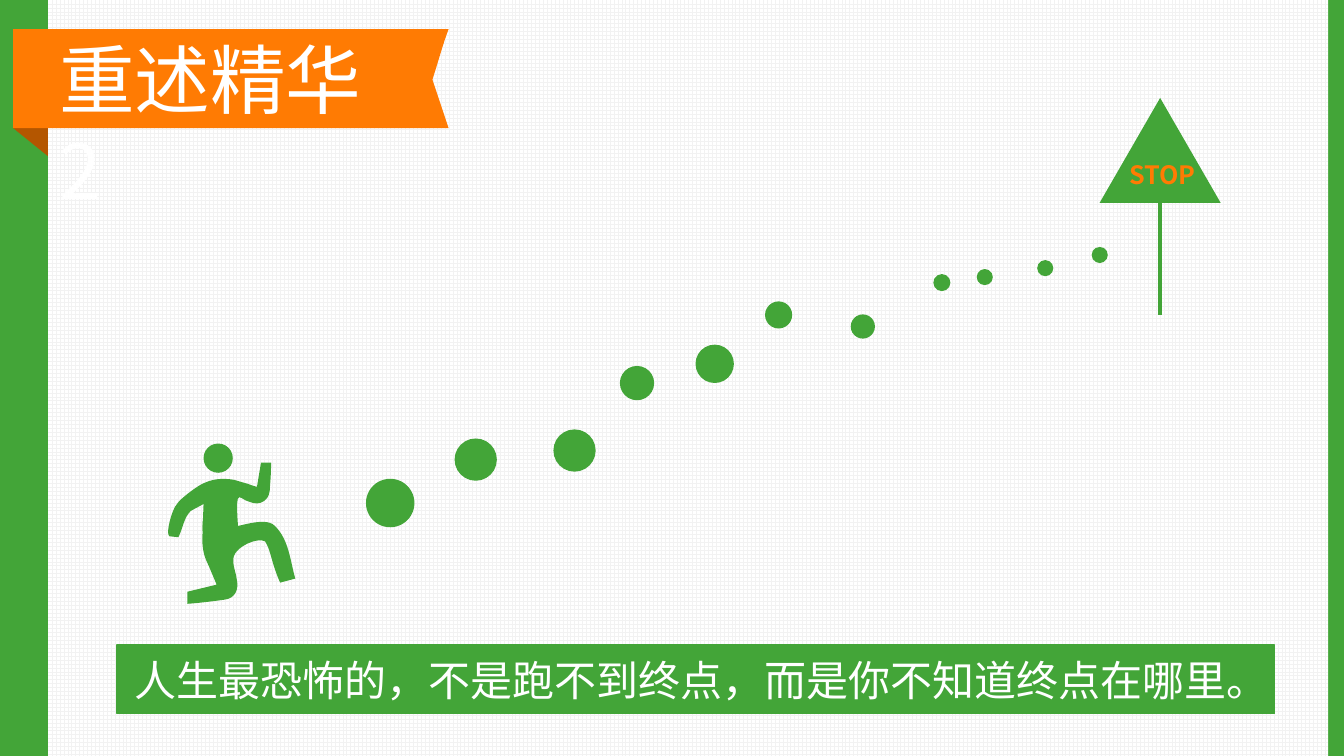
from lxml import etree
from pptx import Presentation
from pptx.dml.color import RGBColor
from pptx.enum.dml import MSO_PATTERN
from pptx.enum.shapes import MSO_CONNECTOR, MSO_SHAPE
from pptx.enum.text import MSO_ANCHOR, MSO_AUTO_SIZE, PP_ALIGN
from pptx.oxml.ns import qn
from pptx.util import Pt

OVAL, RECT, TRIANGLE = MSO_SHAPE.OVAL, MSO_SHAPE.RECTANGLE, MSO_SHAPE.ISOSCELES_TRIANGLE
STRAIGHT = MSO_CONNECTOR.STRAIGHT
GRID = MSO_PATTERN.LARGE_GRID
TOP, LEFT, NO_FIT = MSO_ANCHOR.TOP, PP_ALIGN.LEFT, MSO_AUTO_SIZE.NONE

FONT = "Noto Sans CJK SC"
COLORS = {"green": "43A538", "orange": "FF7B03", "fold": "B45600",
          "white": "FFFFFF", "grid": "F2F2F2"}
UNIT = Pt(0.72)  # one step of the outline coordinates

# Left, top, diameter in points
HEAD = (145.4, 316.8, 20.9)
DOTS = [(261.4, 342, 34.6), (324.7, 313.2, 30.2), (395.3, 306.7, 30.2),
        (442.8, 261.4, 24.5), (496.8, 246.2, 27.4), (546.5, 215.3, 19.4),
        (607.7, 224.6, 17.3), (666.7, 195.8, 12.2), (697.7, 192.2, 11.5),
        (740.9, 185.8, 11.5), (779.8, 176.4, 11.5)]

# Outlines: two numbers make a line, six a Bezier curve
FOLD = [(49, 127), (13, 127), (49, 156)]
RIBBON = [(13, 29), (445, 29), (439, 45, 437, 54, 429, 79), (445, 127), (13, 127)]
FOREARM = [(177, 533), (168, 532), (164, 529, 171, 505, 175, 501), (190, 506),
           (182, 514, 182, 523, 177, 533)]
LEGS = [(215, 580), (207, 561), (203, 553, 200, 545, 201, 529),
        (201, 527, 201, 519, 201, 517), (204, 520, 207, 523, 210, 526),
        (229, 527, 262, 510, 273, 522), (287, 536, 288, 557, 293, 574),
        (278, 578), (269, 558, 269, 546, 263, 537),
        (255, 533, 235, 542, 232, 552), (230, 559, 234, 567, 235, 575),
        (237, 584, 234, 594, 222, 595), (201, 598, 186, 599, 186, 599), (186, 587)]
TORSO = [(202, 500), (189, 507), (173, 505), (174, 502, 176, 499, 179, 496),
         (190, 486, 199, 481, 199, 481), (210, 475, 220, 474, 232, 476),
         (236, 477, 242, 479, 246, 480), (251, 482, 255, 483, 255, 483),
         (259, 459), (269, 459), (269, 459, 269, 471, 268, 481),
         (268, 488, 267, 494, 262, 497), (258, 500, 253, 500, 248, 498),
         (242, 497, 237, 490, 236, 495), (234, 501, 237, 531, 237, 531),
         (203, 526, 201, 527, 201, 527), (201, 524, 202, 502, 202, 500)]


def rgb(name):
    return RGBColor.from_string(COLORS[name])


def paint(sp, color):
    sp.shadow.inherit = False
    sp.fill.solid()
    sp.fill.fore_color.rgb = rgb(color)
    sp.line.fill.background()


def add_preset(slide, kind, left, top, width, height, color="green"):
    sp = slide.shapes.add_shape(kind, Pt(left), Pt(top), Pt(width), Pt(height))
    paint(sp, color)
    return sp


def add_outline(slide, outline, color="green"):
    """Draw all points as lines, then join each curve's three into one Bezier."""
    segments = outline[1:]
    points = [seg[i:i + 2] for seg in segments for i in range(0, len(seg), 2)]
    builder = slide.shapes.build_freeform(*outline[0], scale=UNIT)
    builder.add_line_segments(points, close=True)
    sp = builder.convert_to_shape()
    paint(sp, color)
    lines = iter(list(sp.element.iter(qn("a:lnTo"))))
    for seg in segments:
        first = next(lines)
        if len(seg) == 6:
            curve = etree.Element(qn("a:cubicBezTo"))
            first.addprevious(curve)
            for line in (first, next(lines), next(lines)):
                curve.append(line[0])
                line.getparent().remove(line)


def write(sp, text, box, size, color, bold=False, margin_right=7.2):
    """Place a text holder and set one left-aligned paragraph in it."""
    for name, value in zip(("left", "top", "width", "height"), box):
        setattr(sp, name, Pt(value))
    tf = sp.text_frame
    frame = {"word_wrap": True, "auto_size": NO_FIT, "vertical_anchor": TOP,
             "margin_left": Pt(7.2), "margin_right": Pt(margin_right),
             "margin_top": Pt(3.6), "margin_bottom": Pt(3.6)}
    for name, value in frame.items():
        setattr(tf, name, value)
    p = tf.paragraphs[0]
    p.alignment = LEFT
    p.line_spacing = Pt(size * 1.2)
    r = p.add_run()
    r.text = text
    for name, value in {"name": FONT, "size": Pt(size), "bold": bold}.items():
        setattr(r.font, name, value)
    r.font.color.rgb = rgb(color)
    etree.SubElement(r.font._element, qn("a:ea")).set("typeface", FONT)


def add_text(slide, text, box, size, color, bold=False):
    sp = slide.shapes.add_textbox(*map(Pt, box))
    write(sp, text, box, size, color, bold)


def add_post(slide, x, top, bottom):
    line = slide.shapes.add_connector(STRAIGHT, Pt(x), Pt(top), Pt(x), Pt(bottom))
    line.line.color.rgb = rgb("green")
    line.line.width = Pt(2.5)
    etree.SubElement(line._element.spPr, qn("a:effectLst"))


def add_backdrop(slide):
    fill = slide.background.fill
    fill.solid()
    fill.fore_color.rgb = rgb("green")
    add_outline(slide, FOLD, "fold")
    paper = add_preset(slide, RECT, 34.4, 0, 914.4, 540)
    paper.fill.patterned()
    paper.fill.pattern = GRID
    paper.fill.fore_color.rgb = rgb("grid")
    paper.fill.back_color.rgb = rgb("white")
    add_outline(slide, RIBBON, "orange")


def add_title(slide, text):
    title = slide.shapes.title
    title.element.getparent().append(title.element)
    write(title, text, (35, 19.8, 264.2, 72.7), 54, "white", margin_right=20)


def main():
    prs = Presentation()
    prs.slide_width, prs.slide_height = Pt(960), Pt(540)
    slide = prs.slides.add_slide(prs.slide_layouts[5])

    add_backdrop(slide)
    add_title(slide, "重述精华2")

    for outline in (FOREARM, LEGS, TORSO):
        add_outline(slide, outline)
    for left, top, size in [HEAD] + DOTS:
        add_preset(slide, OVAL, left, top, size, size)

    add_post(slide, 828.7, 139.7, 224.9)
    add_preset(slide, TRIANGLE, 785.5, 70, 86.4, 74.9)
    add_text(slide, "STOP", (799.6, 110.6, 63.4, 28.8), 18, "orange", bold=True)

    banner = add_preset(slide, RECT, 83.5, 460.8, 827, 49)
    banner.line.color.rgb = rgb("green")
    banner.line.width = Pt(1)
    add_text(slide, "人生最恐怖的，不是跑不到终点，而是你不知道终点在哪里。",
             (89.3, 464, 832.3, 43.9), 30, "white")

    prs.save("out.pptx")


if __name__ == "__main__":
    main()
